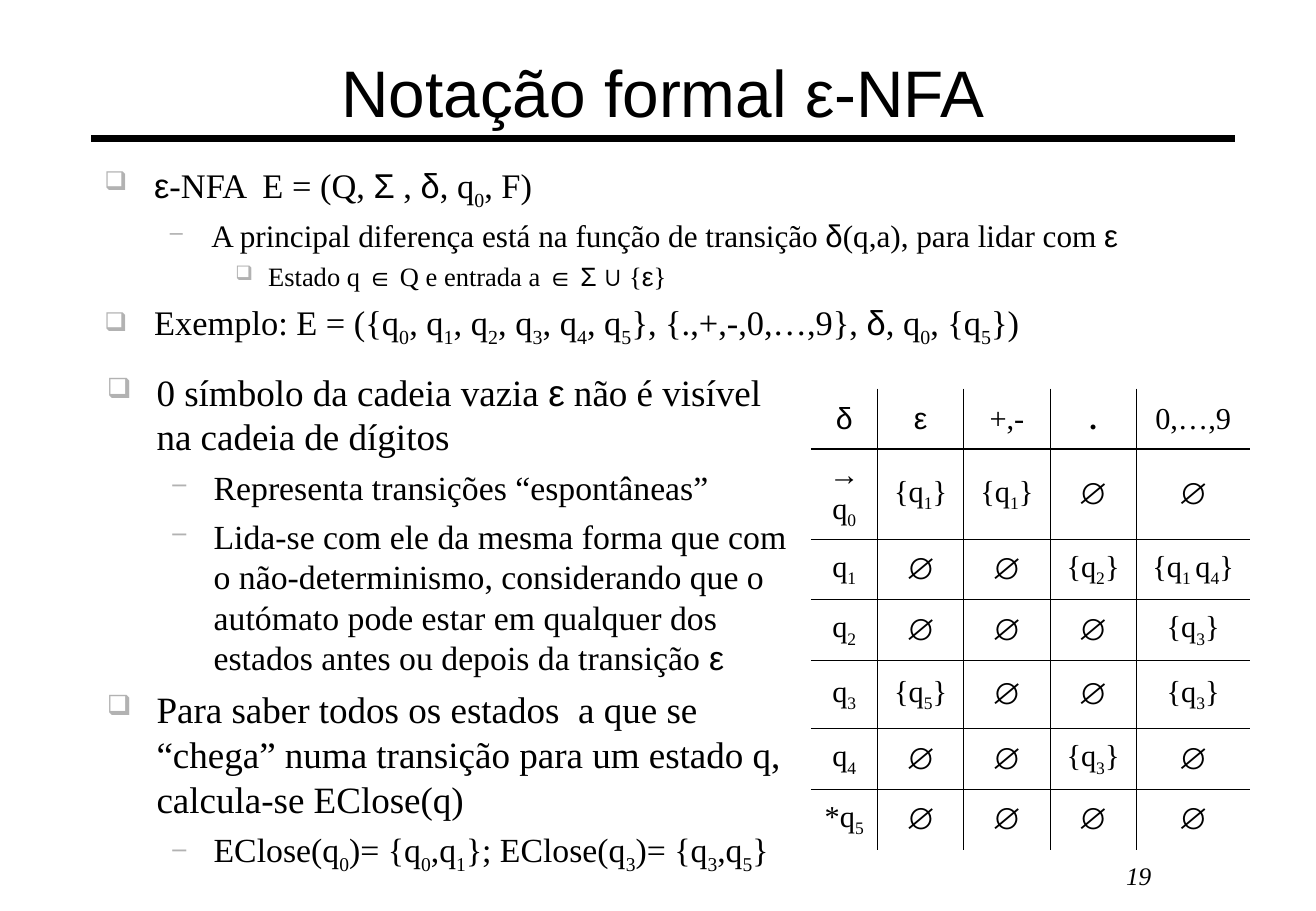
"""Build the slide on the formal notation of ε-NFA."""
from dataclasses import dataclass
from itertools import groupby
from typing import Any, Iterator

from lxml import etree
from pptx import Presentation
from pptx import util as u
from pptx.dml.color import RGBColor
from pptx.enum import shapes, text
from pptx.oxml import ns

SLIDE_WIDTH, SLIDE_HEIGHT = u.Inches(10.84), u.Inches(7.5)
BLACK, GREY = "000000", "B2B2B2"
SERIF, SANS = "Times New Roman", "Arial"
SYMBOLS = "εΣδ∈∪∅→"
THICK, THIN = 1.08, 0.45
CENTER = text.PP_ALIGN.CENTER
MIDDLE = text.MSO_ANCHOR.MIDDLE


@dataclass(frozen=True)
class Box:
    """Place on the slide, in percent of its width and height."""
    left: float
    top: float
    width: float
    height: float

    def lengths(self) -> tuple[int, int, int, int]:
        return across(self.left), down(self.top), across(self.width), down(self.height)


@dataclass(frozen=True)
class Level:
    """Bullet, indents in percent of the slide's width and space before in points."""
    bullet: str
    margin: float
    hanging: float
    space: float


@dataclass(frozen=True)
class Item:
    """Bulleted line, in which an underscore lowers the character after it."""
    level: int
    size: float
    wording: str
    line_spacing: float = 1.0


LEVELS = [Level("❑", 3.78, 3.78, 5.5), Level("–", 8.12, 3.14, 5), Level("❑", 12.45, 2.49, 4.2)]
BODIES = [
    (Box(6.92, 17.47, 85.89, 22.13), [
        Item(0, 20.4, "ε-NFA  E = (Q, Σ , δ, q_0, F)", 0.9),
        Item(1, 18.5, "A principal diferença está na função de transição δ(q,a), para lidar com ε"),
        Item(2, 15.7, "Estado q ∈ Q e entrada a ∈ Σ ∪ {ε}"),
        Item(0, 20.4, "Exemplo: E = ({q_0, q_1, q_2, q_3, q_4, q_5}, {.,+,-,0,…,9}, δ, q_0, {q_5})"),
    ]),
    (Box(7.1, 39.87, 54.52, 57.33), [
        Item(0, 22, "0 símbolo da cadeia vazia ε não é visível na cadeia de dígitos"),
        Item(1, 20, "Representa transições “espontâneas”"),
        Item(1, 20, "Lida-se com ele da mesma forma que com o não-determinismo, considerando "
                    "que o autómato pode estar em qualquer dos estados antes ou depois da transição ε"),
        Item(0, 22, "Para saber todos os estados  a que se “chega” numa transição para um "
                    "estado q, calcula-se EClose(q)"),
        Item(1, 20, "EClose(q_0)= {q_0,q_1}; EClose(q_3)= {q_3,q_5}"),
    ]),
]
TABLE_BOX = Box(61.62, 42.67, 33.39, 48.27)
COLUMN_WEIGHTS = [0.55, 0.71, 0.71, 0.71, 0.94]
ROW_WEIGHTS = [0.5, 0.57, 0.5, 0.5, 0.57, 0.5, 0.5]
TRANSITIONS = [
    ["δ", "ε", "+,-", ".", "0,…,9"],
    ["→q_0", "{q_1}", "{q_1}", "∅", "∅"],
    ["q_1", "∅", "∅", "{q_2}", "{q_1_ q_4}"],
    ["q_2", "∅", "∅", "∅", "{q_3}"],
    ["q_3", "{q_5}", "∅", "∅", "{q_3}"],
    ["q_4", "∅", "∅", "{q_3}", "∅"],
    ["*q_5", "∅", "∅", "∅", "∅"],
]


def across(percent: float) -> int:
    """Turn a percentage of the slide's width into a length."""
    return round(SLIDE_WIDTH * percent / 100)


def down(percent: float) -> int:
    """Turn a percentage of the slide's height into a length."""
    return round(SLIDE_HEIGHT * percent / 100)


def color(value: str) -> RGBColor:
    """Turn a hex string into a colour."""
    return RGBColor.from_string(value)


def apply(target: Any, formats: dict[str, Any]) -> None:
    """Set every attribute named in the formats."""
    for name, value in formats.items():
        setattr(target, name, value)


def add_xml(parent: Any, tag: str, **attributes: str) -> Any:
    """Append a DrawingML element to its parent."""
    return etree.SubElement(parent, ns.qn(tag), attributes)


def pieces(wording: str) -> Iterator[tuple[str, bool]]:
    """Yield the characters of a wording, each with whether it is lowered."""
    lowered = False
    for character in wording:
        if character == "_":
            lowered = True
        else:
            yield character, lowered
            lowered = False


def write(paragraph: Any, wording: str, size: float, font: str = SERIF, **extra: Any) -> None:
    """Write a wording as runs split by font and baseline."""
    def style(piece: tuple[str, bool]) -> tuple[str, bool]:
        return (SANS if piece[0] in SYMBOLS else font), piece[1]

    for (name, lowered), group in groupby(pieces(wording), style):
        run = paragraph.add_run()
        run.text = "".join(character for character, _ in group)
        apply(run.font, {"name": name, "size": u.Pt(size), **extra})
        run.font.color.rgb = color(BLACK)
        if lowered:
            run.font._element.set("baseline", "-25000")


def add_frame(slide: Any, box: Box, **formats: Any) -> Any:
    """Add a wrapping text box and return its text frame."""
    frame = slide.shapes.add_textbox(*box.lengths()).text_frame
    apply(frame, {"word_wrap": True, **formats})
    return frame


def add_label(slide: Any, box: Box, wording: str, size: float, **formats: Any) -> None:
    """Add a centred line of text."""
    paragraph = add_frame(slide, box, vertical_anchor=MIDDLE).paragraphs[0]
    paragraph.alignment = CENTER
    write(paragraph, wording, size, **formats)


def add_body(slide: Any, box: Box, items: list[Item]) -> None:
    """Add a text box of bulleted items."""
    frame = add_frame(slide, box, margin_left=u.Inches(0.11), margin_right=u.Inches(0.11))
    for index, item in enumerate(items):
        paragraph = frame.add_paragraph() if index else frame.paragraphs[0]
        level = LEVELS[item.level]
        apply(paragraph, {"level": item.level, "space_before": u.Pt(level.space),
                          "line_spacing": item.line_spacing})
        properties = paragraph._p.get_or_add_pPr()
        properties.set("marL", str(across(level.margin)))
        properties.set("indent", str(-across(level.hanging)))
        add_xml(add_xml(properties, "a:buClr"), "a:srgbClr", val=GREY)
        add_xml(properties, "a:buSzPct", val="75000")
        add_xml(properties, "a:buChar", char=level.bullet)
        write(paragraph, item.wording, item.size)


def add_border(cell: Any, side: str, width: float) -> None:
    """Draw one side of a cell, or clear it when the width is zero."""
    line = add_xml(cell._tc.get_or_add_tcPr(), f"a:ln{side}", w=str(u.Pt(width)))
    if width:
        add_xml(add_xml(line, "a:solidFill"), "a:srgbClr", val=BLACK)
    else:
        add_xml(line, "a:noFill")


def rule_width(edge: int, count: int) -> float:
    """Give the width of the rule at an edge among count rows or columns."""
    return {0: 0, 1: THICK, count: 0}.get(edge, THIN)


def add_transitions(slide: Any) -> None:
    """Add the table of the transition function."""
    rows, columns = len(ROW_WEIGHTS), len(COLUMN_WEIGHTS)
    table = slide.shapes.add_table(rows, columns, *TABLE_BOX.lengths()).table
    apply(table, {"first_row": False, "horz_banding": False})
    for column, weight in zip(table.columns, COLUMN_WEIGHTS):
        column.width = round(across(TABLE_BOX.width) * weight / sum(COLUMN_WEIGHTS))
    for row, weight in zip(table.rows, ROW_WEIGHTS):
        row.height = round(down(TABLE_BOX.height) * weight / sum(ROW_WEIGHTS))
    for r, wordings in enumerate(TRANSITIONS):
        for c, wording in enumerate(wordings):
            cell = table.cell(r, c)
            cell.vertical_anchor = MIDDLE
            for side, edge, count in (("L", c, columns), ("R", c + 1, columns),
                                      ("T", r, rows), ("B", r + 1, rows)):
                add_border(cell, side, rule_width(edge, count))
            cell.fill.background()
            paragraph = cell.text_frame.paragraphs[0]
            apply(paragraph, {"alignment": CENTER, "space_before": u.Pt(4.5)})
            write(paragraph, wording, 18, bold=wording == ".")


def main() -> None:
    """Build and save the presentation."""
    presentation = Presentation()
    apply(presentation, {"slide_width": SLIDE_WIDTH, "slide_height": SLIDE_HEIGHT})
    slide = presentation.slides.add_slide(presentation.slide_layouts[6])
    rule = slide.shapes.add_connector(shapes.MSO_CONNECTOR.STRAIGHT, across(6.92), down(15.2),
                                      across(93.82), down(15.2))
    rule.line.width = u.Pt(3.75)
    rule.line.color.rgb = color(BLACK)
    add_xml(rule._element.spPr, "a:effectLst")
    add_label(slide, Box(6.92, 1.6, 86.9, 16.8), "Notação formal ε-NFA", 39, font=SANS)
    for box, items in BODIES:
        add_body(slide, box, items)
    add_transitions(slide)
    add_label(slide, Box(77.21, 93.2, 18.63, 5.73), "19", 15, italic=True)
    presentation.save("out.pptx")


if __name__ == "__main__":
    main()
